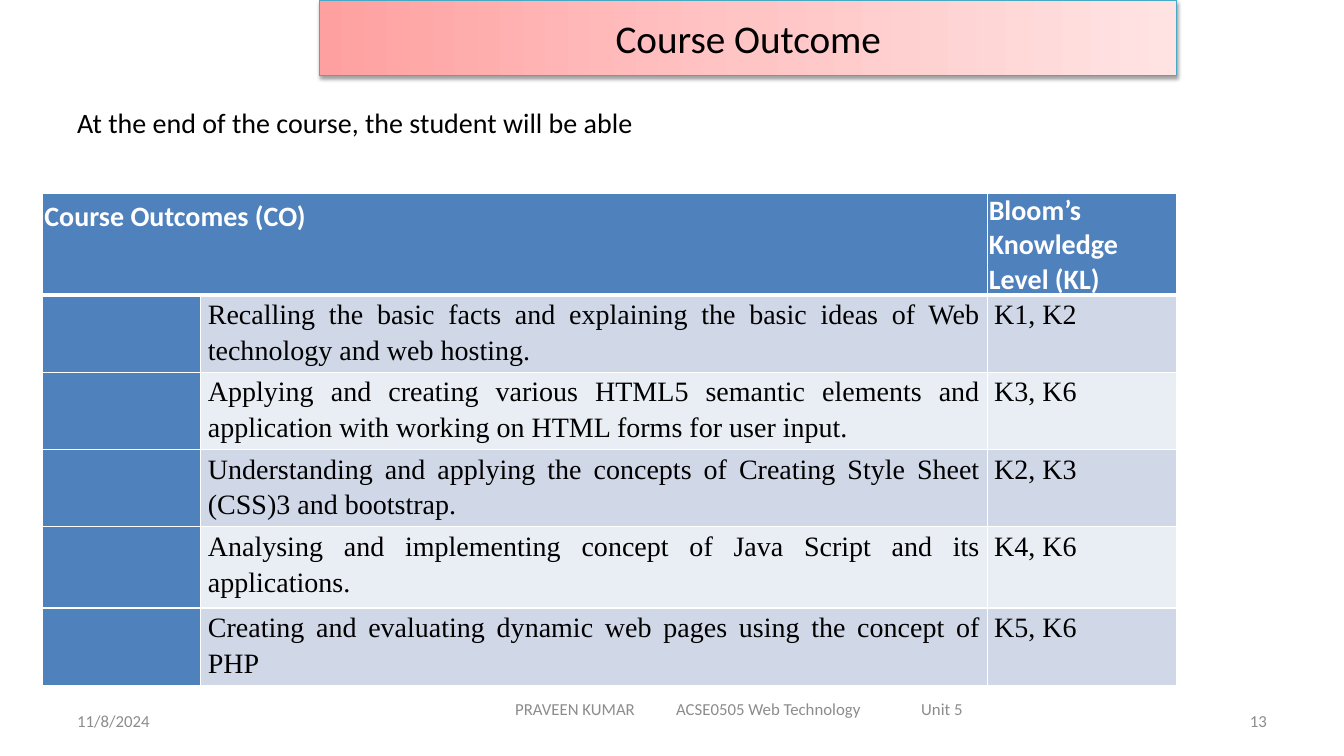
"""Build the Course Outcome slide with its table of outcomes and knowledge levels."""
import copy

import pptx
import pptx.dml.color
import pptx.enum.shapes
import pptx.enum.text
import pptx.oxml
import pptx.oxml.ns
import pptx.util

Pt = pptx.util.Pt
ALIGN = pptx.enum.text.PP_ALIGN
ANCHOR = pptx.enum.text.MSO_ANCHOR

TITLE = "Course Outcome"
INTRO = "At the end of the course, the student will be able"
DATE, NUMBER = "11/8/2024", "13"
FOOTER = ["PRAVEEN KUMAR", "ACSE0505 Web Technology", "Unit 5"]
FOOTER_TABS = [115, 290]
HEADINGS = ["Course Outcomes (CO)", "Bloom’s Knowledge Level (KL)"]
OUTCOMES = [
    ("Recalling the basic facts and explaining the basic ideas of Web technology and web hosting.", "K1, K2"),
    ("Applying and creating various HTML5 semantic elements and application with working on HTML forms for user input.", "K3, K6"),
    ("Understanding and applying the concepts of Creating Style Sheet (CSS)3 and bootstrap.", "K2, K3"),
    ("Analysing and implementing concept of Java Script and its applications.", "K4, K6"),
    ("Creating and evaluating dynamic web pages using the concept of PHP", "K5, K6"),
]
COLUMNS = [113, 561.6, 135.4]
ROWS = [71.5, 53.5, 53.5, 53.5, 58, 53.5]
THEME = {
    "sans": "Calibri", "serif": "Times New Roman",
    "title": 28, "body": 20, "small": 12,
    "ink": "000000", "muted": "8C8C8C", "white": "FFFFFF",
    "header": "4F81BD", "bands": ["D0D8E8", "E9EDF4"],
    "banner": [(0, "FFA0A0"), (0.5, "FFC5C5"), (1, "FFE3E3")], "banner_line": "46AAC5",
}


def rgb(value):
    return pptx.dml.color.RGBColor.from_string(value)


def xml(tag, attributes, inner=""):
    namespace = pptx.oxml.ns.nsdecls("a")
    return pptx.oxml.parse_xml(f"<a:{tag} {namespace} {attributes}>{inner}</a:{tag}>")


def write(frame, text, size, color, align=ALIGN.LEFT, font="sans", bold=False):
    frame.word_wrap = True
    para = frame.paragraphs[0]
    para.text = text
    para.alignment = align
    para.font.name = THEME[font]
    para.font.size = Pt(THEME[size])
    para.font.bold = bold
    para.font.color.rgb = rgb(THEME[color])
    return para


def add_text(page, place, text, size, color, align=ALIGN.LEFT, anchor=ANCHOR.MIDDLE):
    box = page.shapes.add_textbox(*map(Pt, place))
    box.text_frame.vertical_anchor = anchor
    write(box.text_frame, text, size, color, align)
    return box


def add_banner(page):
    banner = page.shapes.add_shape(
        pptx.enum.shapes.MSO_SHAPE.RECTANGLE, Pt(228.5), Pt(0), Pt(612), Pt(54))
    banner.fill.gradient()
    banner.fill.gradient_angle = 0
    properties = banner.element.spPr
    stop_list = properties.find(".//" + pptx.oxml.ns.qn("a:gsLst"))
    stop_list.insert(1, copy.deepcopy(stop_list[0]))
    for stop, (position, color) in zip(banner.fill.gradient_stops, THEME["banner"]):
        stop.position = position
        stop.color.rgb = rgb(color)
    banner.line.color.rgb = rgb(THEME["banner_line"])
    banner.line.width = Pt(0.75)
    banner.shadow.inherit = False
    effects = properties.find(pptx.oxml.ns.qn("a:effectLst"))
    effects.append(xml(
        "outerShdw", f'blurRad="{Pt(3.1)}" dist="{Pt(1.6)}" dir="5400000" rotWithShape="0"',
        f'<a:srgbClr val="{THEME["ink"]}"><a:alpha val="38000"/></a:srgbClr>'))
    banner.text_frame.vertical_anchor = ANCHOR.MIDDLE
    write(banner.text_frame, TITLE, "title", "ink", ALIGN.CENTER)


def style_cell(cell, color, top, bottom, side_margin):
    properties = cell._tc.get_or_add_tcPr()
    for side, width in (("L", 1), ("R", 1), ("T", top), ("B", bottom)):
        properties.append(xml(
            f"ln{side}", f'w="{Pt(width)}"',
            f'<a:solidFill><a:srgbClr val="{THEME["white"]}"/></a:solidFill>'))
    cell.fill.solid()
    cell.fill.fore_color.rgb = rgb(color)
    cell.margin_left = cell.margin_right = Pt(side_margin)
    cell.margin_top = cell.margin_bottom = Pt(0)


def add_outcomes(page):
    table = page.shapes.add_table(
        len(ROWS), len(COLUMNS), Pt(30.5), Pt(138.5), Pt(sum(COLUMNS)), Pt(sum(ROWS))).table
    for column, width in zip(table.columns, COLUMNS):
        column.width = Pt(width)
    for r, height in enumerate(ROWS):
        table.rows[r].height = Pt(height)
        for c in range(len(COLUMNS)):
            is_header = r == 0 or c == 0
            color = THEME["header"] if is_header else THEME["bands"][(r - 1) % 2]
            style_cell(table.cell(r, c), color, 3 if r == 1 else 1,
                       3 if r == 0 else 1, 1.2 if r == 0 else 5)
    table.cell(0, 0).merge(table.cell(0, 1))
    outcome_head, level_head = table.cell(0, 0), table.cell(0, 2)
    outcome_head.margin_top = Pt(16)
    outcome_head.vertical_anchor = ANCHOR.TOP
    level_head.vertical_anchor = ANCHOR.MIDDLE
    for cell, heading in zip((outcome_head, level_head), HEADINGS):
        write(cell.text_frame, heading, "body", "white", bold=True)
    outcome_head.text_frame.paragraphs[0].line_spacing = Pt(12.7)
    for r, entry in enumerate(OUTCOMES, 1):
        for c, (text, align) in enumerate(zip(entry, (ALIGN.JUSTIFY, ALIGN.LEFT)), 1):
            para = write(table.cell(r, c).text_frame, text, "body", "ink", align, "serif")
            para.line_spacing = 1.15


def add_footer(page):
    add_text(page, (48, 500.5, 224, 28.8), DATE, "small", "muted")
    add_text(page, (688, 500.5, 224, 28.8), NUMBER, "small", "muted", ALIGN.RIGHT)
    course = page.shapes.add_textbox(Pt(342), Pt(492), Pt(372), Pt(28.8))
    course.text_frame.vertical_anchor = ANCHOR.MIDDLE
    course.text_frame.margin_left = Pt(26)
    stops = "".join(f'<a:tab pos="{Pt(stop)}" algn="l"/>' for stop in FOOTER_TABS)
    para = course.text_frame.paragraphs[0]
    para._p.get_or_add_pPr().append(xml("tabLst", "", stops))
    write(course.text_frame, "\t".join(FOOTER), "small", "muted")


def main():
    deck = pptx.Presentation()
    deck.slide_width, deck.slide_height = Pt(960), Pt(540)
    page = deck.slides.add_slide(deck.slide_layouts[6])
    add_footer(page)
    add_banner(page)
    add_outcomes(page)
    add_text(page, (48, 72, 432, 31.5), INTRO, "body", "ink", anchor=ANCHOR.TOP)
    deck.save("out.pptx")


if __name__ == "__main__":
    main()
